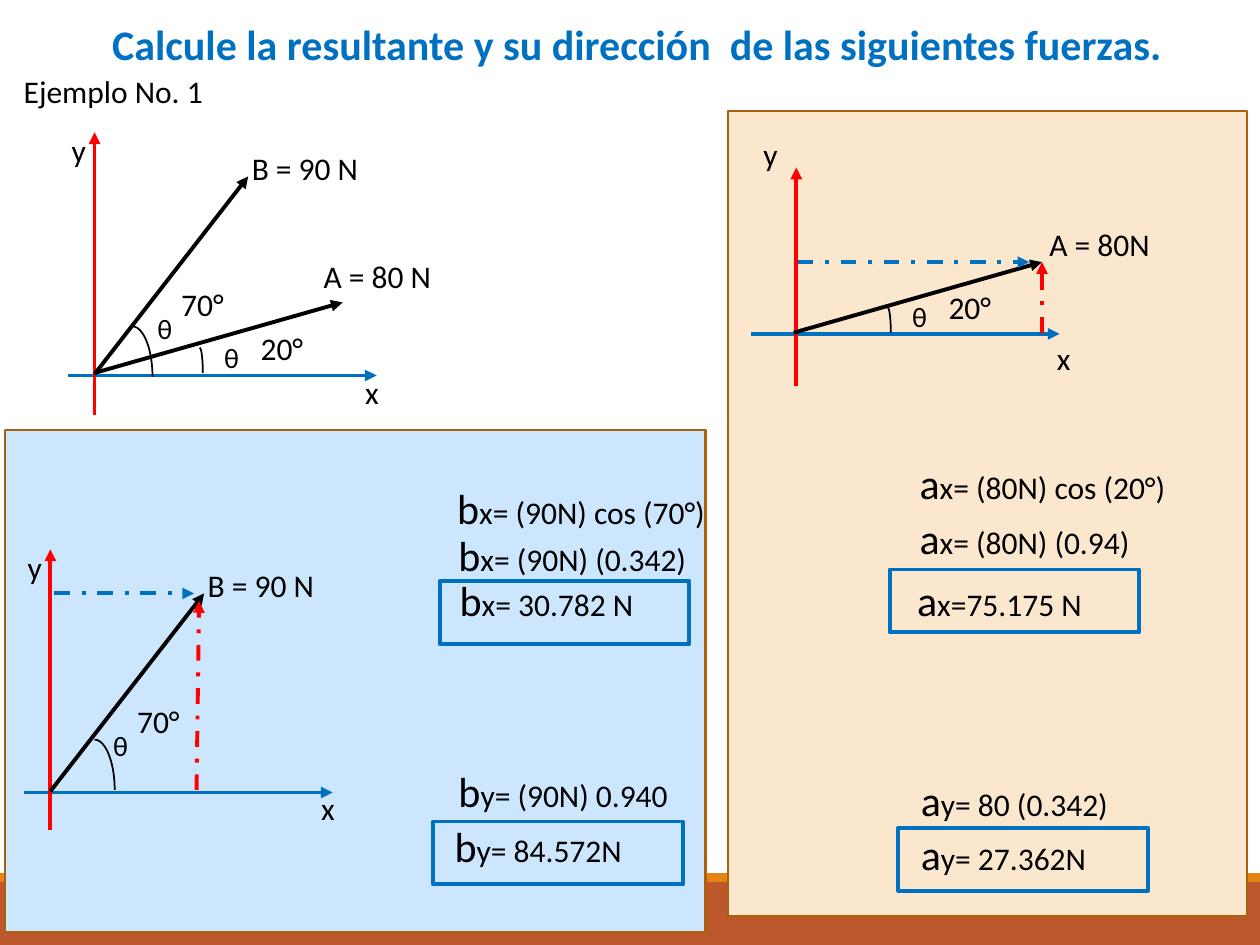
from dataclasses import dataclass

from lxml.etree import SubElement
from pptx import Presentation
from pptx.dml.color import RGBColor
from pptx.enum.dml import MSO_LINE
from pptx.enum.shapes import MSO_CONNECTOR, MSO_SHAPE
from pptx.enum.text import MSO_ANCHOR, MSO_AUTO_SIZE, PP_ALIGN
from pptx.oxml.ns import qn
from pptx.util import Inches, Pt


@dataclass(frozen=True)
class Theme:
    font: str = "Calibri"
    ink: str = "000000"
    blue: str = "0070C0"
    red: str = "FF0000"
    panel_edge: str = "A9610D"
    blue_panel: str = "CCE6FE"
    orange_panel: str = "FBE6CE"
    footer: str = "BD582C"
    footer_edge: str = "E48312"
    large: float = 24
    normal: float = 18
    small: float = 16
    arrow: float = 2.25
    edge: float = 1.25
    arc: float = 1


THEME = Theme()


def format_frame(frame, wrap=False):
    settings = {"word_wrap": wrap, "auto_size": MSO_AUTO_SIZE.NONE,
                "vertical_anchor": MSO_ANCHOR.TOP}
    for name, value in settings.items():
        setattr(frame, name, value)


def add_run(paragraph, text, size, color=THEME.ink, bold=False):
    run = paragraph.add_run()
    run.text = text
    settings = {"name": THEME.font, "size": Pt(size), "bold": bold}
    for name, value in settings.items():
        setattr(run.font, name, value)
    run.font.color.rgb = RGBColor.from_string(color)


def add_title(slide, text):
    title = slide.shapes.title
    place = {"left": 0.79, "top": 0.1, "width": 8.61, "height": 0.5}
    for name, value in place.items():
        setattr(title, name, Inches(value))
    format_frame(title.text_frame)
    paragraph = title.text_frame.paragraphs[0]
    paragraph.alignment = PP_ALIGN.LEFT
    add_run(paragraph, text, THEME.large, THEME.blue, bold=True)


def add_label(slide, left, top, width, *parts, height=0.4):
    """Each part is a (text, size) pair."""
    label = slide.shapes.add_textbox(
        Inches(left), Inches(top), Inches(width), Inches(height))
    format_frame(label.text_frame)
    for text, size in parts:
        add_run(label.text_frame.paragraphs[0], text, size)


def add_outline(slide, place, fill=None, line=None, weight=THEME.edge,
                kind=MSO_SHAPE.RECTANGLE):
    outline = slide.shapes.add_shape(kind, *map(Inches, place))
    outline.shadow.inherit = False
    if fill:
        outline.fill.solid()
        outline.fill.fore_color.rgb = RGBColor.from_string(fill)
    else:
        outline.fill.background()
    if line:
        outline.line.color.rgb = RGBColor.from_string(line)
        outline.line.width = Pt(weight)
    else:
        outline.line.fill.background()


def add_arrow(slide, start, end, color, dashed=False):
    arrow = slide.shapes.add_connector(
        MSO_CONNECTOR.STRAIGHT, *map(Inches, (*start, *end)))
    arrow.line.color.rgb = RGBColor.from_string(color)
    arrow.line.width = Pt(THEME.arrow)
    if dashed:
        arrow.line.dash_style = MSO_LINE.DASH_DOT
    SubElement(arrow.line._get_or_add_ln(), qn("a:tailEnd"), type="triangle")
    SubElement(arrow._element.spPr, qn("a:effectLst"))


def add_axes(slide, x_start, y_start, y_length, x_label, y_label):
    left, level = x_start
    add_arrow(slide, x_start, (left + 2.45, level), THEME.blue)
    column, bottom = y_start
    add_arrow(slide, y_start, (column, bottom - y_length), THEME.red)
    add_label(slide, *x_label, 0.32, ("x", THEME.normal))
    add_label(slide, *y_label, 0.32, ("y", THEME.normal))


def add_force(slide, origin, reach, name, name_at, width):
    x, y = origin
    add_arrow(slide, origin, (x + reach[0], y - reach[1]), THEME.ink)
    add_label(slide, *name_at, width, (name, THEME.normal))


def add_angle(slide, arc, theta_at, degrees):
    add_outline(slide, arc, line=THEME.ink, weight=THEME.arc,
                kind=MSO_SHAPE.ARC)
    left, top = theta_at
    add_label(slide, left, top, 0.41, ("θ", THEME.small), height=0.37)
    add_label(slide, left + 0.19 if degrees == "70°" else left + 0.29,
              top - 0.21 if degrees == "70°" else top - 0.09,
              0.54, (degrees, THEME.normal))


def add_equations(slide, letter, equations):
    for left, top, width, text in equations:
        add_label(slide, left, top, width, (letter, THEME.large),
                  (text, THEME.normal), height=0.5)


def add_result_boxes(slide, corners):
    for left, top in corners:
        add_outline(slide, (left, top, 1.98, 0.5), line=THEME.blue,
                    weight=THEME.arrow)


def main():
    prs = Presentation()
    prs.slide_width, prs.slide_height = Inches(10), Inches(7.5)
    slide = prs.slides.add_slide(prs.slide_layouts[5])
    reach_a, reach_b = (1.97, 0.56), (1.22, 1.57)

    # Footer bands and panels
    add_outline(slide, (0, 7, 10, 0.5), THEME.footer)
    add_outline(slide, (0, 6.93, 10, 0.07), THEME.footer_edge)
    add_outline(slide, (0.04, 3.41, 5.56, 3.99), THEME.blue_panel,
                THEME.panel_edge)
    add_outline(slide, (5.78, 0.88, 4.12, 6.39), THEME.orange_panel,
                THEME.panel_edge)

    # Heading
    add_title(slide, "Calcule la resultante y su dirección  de las "
                     "siguientes fuerzas.")
    add_label(slide, 0.09, 0.52, 1.64, ("Ejemplo No. 1", THEME.normal))

    # Both forces
    add_axes(slide, (0.54, 2.98), (0.75, 3.29), 2.24, (2.8, 2.91),
             (0.47, 0.99))
    add_force(slide, (0.75, 2.96), reach_a, "A = 80 N", (2.47, 1.99), 1.07)
    add_angle(slide, (1.56, 2.76, 0.05, 0.4), (1.68, 2.65), "20°")
    add_force(slide, (0.75, 2.97), reach_b, "B = 90 N", (1.9, 1.13), 1.06)
    add_angle(slide, (0.89, 2.59, 0.32, 0.8), (1.15, 2.42), "70°")

    # Force A and its components
    add_axes(slide, (5.96, 2.65), (6.32, 3.06), 1.73, (8.29, 2.64),
             (5.96, 1.02))
    add_force(slide, (6.3, 2.64), reach_a, "A = 80N", (8.23, 1.74), 1.01)
    add_angle(slide, (7.02, 2.44, 0.05, 0.4), (7.14, 2.33), "20°")
    add_arrow(slide, (6.33, 2.08), (8.17, 2.08), THEME.blue, dashed=True)
    add_arrow(slide, (8.27, 2.64), (8.27, 2.08), THEME.red, dashed=True)
    add_equations(slide, "a", [
        (7.2, 3.58, 2.18, "x= (80N) cos (20°)"),
        (7.2, 4.02, 1.89, "x= (80N) (0.94)"),
        (7.18, 4.51, 1.52, "x=75.175 N"),
        (7.21, 6.1, 1.7, "y= 80 (0.342)"),
        (7.21, 6.53, 1.53, "y= 27.362N"),
    ])
    add_result_boxes(slide, [(7.06, 4.52), (7.13, 6.57)])

    # Force B and its components
    add_axes(slide, (0.19, 6.29), (0.4, 6.59), 2.23, (2.45, 6.21),
             (0.12, 4.3))
    add_force(slide, (0.4, 6.28), reach_b, "B = 90 N", (1.55, 4.44), 1.06)
    add_angle(slide, (0.59, 5.87, 0.32, 0.8), (0.8, 5.73), "70°")
    add_arrow(slide, (0.43, 4.71), (1.54, 4.71), THEME.blue, dashed=True)
    add_arrow(slide, (1.56, 6.27), (1.58, 4.77), THEME.red, dashed=True)
    add_equations(slide, "b", [
        (3.53, 3.78, 2.19, "x= (90N) cos (70°)"),
        (3.54, 4.15, 2.03, "x= (90N) (0.342)"),
        (3.55, 4.51, 1.6, "x= 30.782 N"),
        (3.54, 6.03, 1.88, "y= (90N) 0.940"),
        (3.51, 6.46, 1.54, "y= 84.572N"),
    ])
    add_result_boxes(slide, [(3.49, 4.61), (3.44, 6.52)])

    prs.save("out.pptx")


if __name__ == "__main__":
    main()
